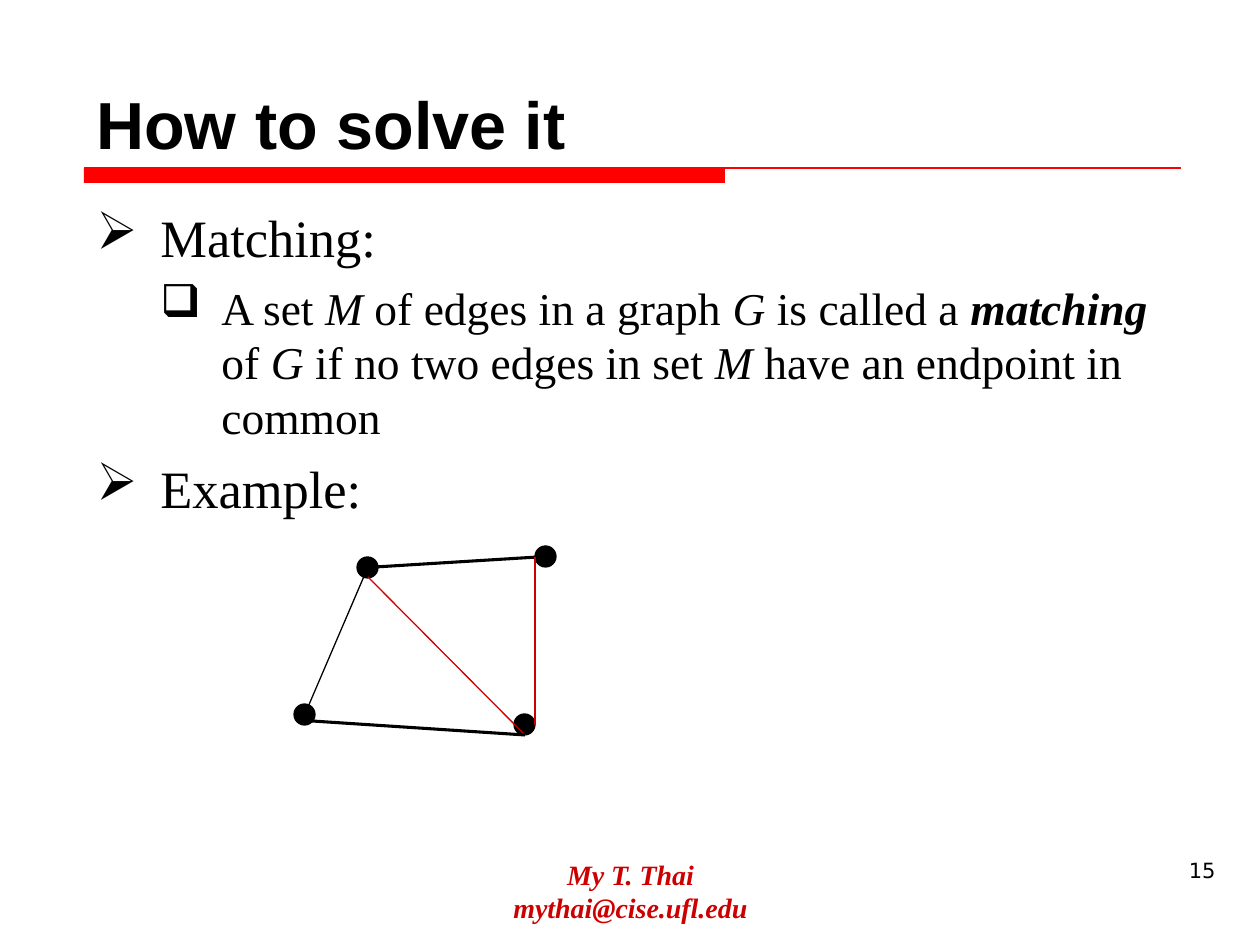
"""Build the slide that explains matching in a graph."""
from lxml.etree import SubElement
from pptx import Presentation
from pptx.dml.color import RGBColor
from pptx.enum.shapes import MSO_CONNECTOR, MSO_SHAPE
from pptx.enum.text import MSO_ANCHOR, PP_ALIGN
from pptx.oxml.ns import qn
from pptx.util import Pt

PX = 914400 / 126
BLACK = RGBColor(0x00, 0x00, 0x00)
RED = RGBColor(0xFF, 0x00, 0x00)
DARK_RED = RGBColor(0xCC, 0x00, 0x00)
SERIF = "Times New Roman"

presentation = Presentation()
presentation.slide_width = round(1260 * PX)
presentation.slide_height = round(945 * PX)
slide = presentation.slides.add_slide(presentation.slide_layouts[6])


def add_line(points, color, width):
    line = slide.shapes.add_connector(
        MSO_CONNECTOR.STRAIGHT, *[round(value * PX) for value in points])
    line.line.color.rgb = color
    line.line.width = Pt(width)
    SubElement(line._element.spPr, qn("a:effectLst"))


def add_filled(kind, box, color):
    shape = slide.shapes.add_shape(kind, *[round(value * PX) for value in box])
    shape.shadow.inherit = False
    shape.fill.solid()
    shape.fill.fore_color.rgb = color
    return shape


rule_bar = add_filled(MSO_SHAPE.RECTANGLE, (84, 168, 641, 15), RED)
rule_bar.line.fill.background()
add_line((84, 168, 1181, 168), RED, 1.5)

labels = [
    (["My T. Thai", "mythai@cise.ufl.edu"], (431, 851, 399, 66), MSO_ANCHOR.TOP,
     PP_ALIGN.CENTER, SERIF, 16, DARK_RED, True, True),
    (["15"], (955, 851, 273, 66), MSO_ANCHOR.TOP,
     PP_ALIGN.RIGHT, "DejaVu Sans", 12, BLACK, False, False),
    (["How to solve it"], (84, 43, 1103, 126), MSO_ANCHOR.BOTTOM,
     PP_ALIGN.LEFT, "Arial", 38, BLACK, True, False),
]
for lines, box, anchor, alignment, font_name, size, color, bold, italic in labels:
    label = slide.shapes.add_textbox(*[round(value * PX) for value in box])
    text_frame = label.text_frame
    text_frame.word_wrap = True
    text_frame.vertical_anchor = anchor
    text_frame.text = "\n".join(lines)
    for paragraph in text_frame.paragraphs:
        paragraph.alignment = alignment
        for run in paragraph.runs:
            run.font.name = font_name
            run.font.size = Pt(size)
            run.font.color.rgb = color
            run.font.bold = bold
            run.font.italic = italic

definition = [
    ("A set ", ""), ("M", "i"), (" of edges in a graph ", ""), ("G", "i"),
    (" is called a ", ""), ("matching", "bi"), (" of ", ""), ("G", "i"),
    (" if no two edges in set ", ""), ("M", "i"),
    (" have an endpoint in common", ""),
]
body_paragraphs = [
    (0, "➢", 64, 64, 0, 30, [("Matching:", "")]),
    (1, "❑", 125, 61, 6.5, 26, definition),
    (0, "➢", 64, 64, 7.5, 30, [("Example:", "")]),
]
body = slide.shapes.add_textbox(*[round(value * PX) for value in (84, 199, 1103, 693)])
body.text_frame.word_wrap = True
for index, (level, bullet, margin, hanging, space, size, pieces) in enumerate(body_paragraphs):
    paragraph = body.text_frame.paragraphs[0] if index == 0 else body.text_frame.add_paragraph()
    properties = paragraph._p.get_or_add_pPr()
    properties.set("marL", str(round(margin * PX)))
    properties.set("indent", str(round(-hanging * PX)))
    bullet_color = SubElement(properties, qn("a:buClr"))
    SubElement(bullet_color, qn("a:srgbClr")).set("val", str(BLACK))
    SubElement(properties, qn("a:buChar")).set("char", bullet)
    paragraph.level = level
    paragraph.space_before = Pt(space)
    for text, style in pieces:
        run = paragraph.add_run()
        run.text = text
        run.font.name = SERIF
        run.font.size = Pt(size)
        run.font.color.rgb = BLACK
        run.font.bold = "b" in style
        run.font.italic = "i" in style

for left, top in [(357, 557), (294, 704), (535, 546), (514, 714)]:
    node = add_filled(MSO_SHAPE.OVAL, (left, top, 21, 21), BLACK)
    node.line.color.rgb = BLACK
    node.line.width = Pt(0.75)

edges = [
    ((375, 567, 538, 557), BLACK, 1.75),
    ((535, 557, 535, 725), DARK_RED, 0.75),
    ((525, 735, 368, 577), DARK_RED, 0.75),
    ((368, 567, 305, 714), BLACK, 0.75),
    ((312, 721, 525, 735), BLACK, 1.75),
]
for points, color, width in edges:
    add_line(points, color, width)

presentation.save("out.pptx")
